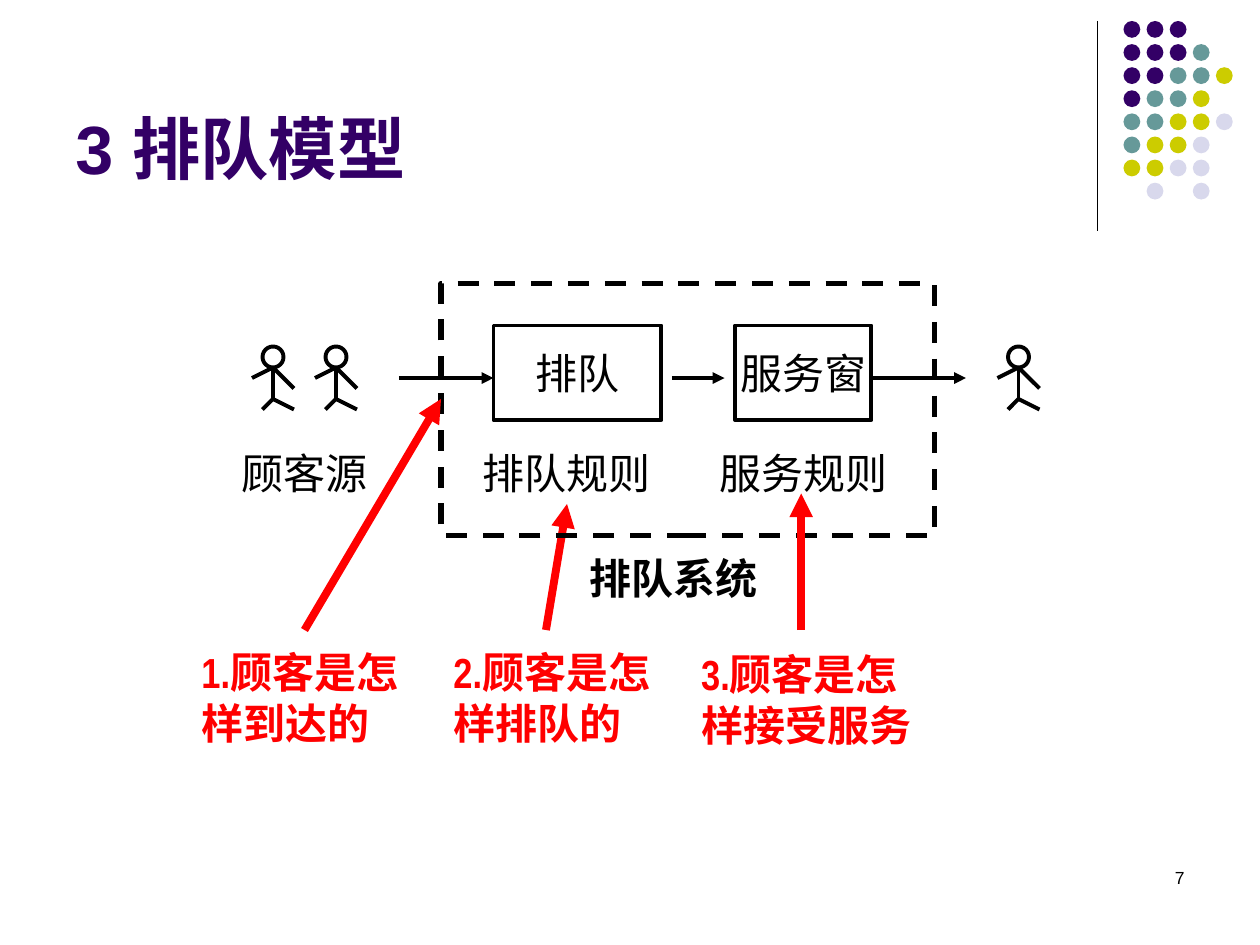
from lxml.etree import SubElement
from pptx import Presentation
from pptx.dml.color import RGBColor
from pptx.enum.dml import MSO_LINE
from pptx.enum.shapes import MSO_CONNECTOR, MSO_SHAPE
from pptx.enum.text import MSO_ANCHOR, PP_ALIGN
from pptx.oxml.ns import qn
from pptx.util import Cm, Pt

THEME = {
    "black": RGBColor.from_string("000000"),
    "red": RGBColor.from_string("FF0000"),
    "purple": RGBColor.from_string("330066"),
    "teal": RGBColor.from_string("669999"),
    "olive": RGBColor.from_string("CCCC00"),
    "lilac": RGBColor.from_string("D8D8EC"),
    "title": {"name": "Arial", "size": Pt(39), "bold": True},
    "label": {"name": "Times New Roman", "size": Pt(24), "bold": False},
    "strong": {"name": "Arial Narrow", "size": Pt(24), "bold": True},
    "number": {"name": "Arial", "size": Pt(10), "bold": False},
}
GRID = 2.54 / 12

presentation = Presentation()
presentation.slide_width = Cm(25.4)
presentation.slide_height = Cm(19.05)
slide = presentation.slides.add_slide(presentation.slide_layouts[6])
shapes = slide.shapes


def add_line(start, end, color="black", width=2.25, arrow=False):
    points = [Cm(value * GRID) for value in (*start, *end)]
    connector = shapes.add_connector(MSO_CONNECTOR.STRAIGHT, *points)
    connector.line.color.rgb = THEME[color]
    connector.line.width = Pt(width)
    if arrow:
        line_xml = connector.line._get_or_add_ln()
        SubElement(line_xml, qn("a:tailEnd"), type="triangle")
    SubElement(connector._element.spPr, qn("a:effectLst"))


def add_box(place, text="", style="label", color="black", align=PP_ALIGN.LEFT,
            anchor=MSO_ANCHOR.TOP, kind=None, fill=None, border=None, wrap=True):
    area = [Cm(value * GRID) for value in place]
    if kind is None:
        shape = shapes.add_textbox(*area)
    else:
        shape = shapes.add_shape(kind, *area)
        shape.shadow.inherit = False
        if fill:
            shape.fill.solid()
            shape.fill.fore_color.rgb = THEME[fill]
        else:
            shape.fill.background()
        if border:
            shape.line.color.rgb = THEME["black"]
            shape.line.width = Pt(border)
        else:
            shape.line.fill.background()
    if text:
        frame = shape.text_frame
        frame.word_wrap = wrap
        frame.vertical_anchor = anchor
        paragraph = frame.paragraphs[0]
        paragraph.alignment = align
        run = paragraph.add_run()
        run.text = text
        for attribute, value in THEME[style].items():
            setattr(run.font, attribute, value)
        run.font.color.rgb = THEME[color]
    return shape


add_line((104.5, 2), (104.5, 22), width=0.75)
dot_colors = {"P": "purple", "T": "teal", "O": "olive", "L": "lilac"}
dot_rows = ["PPP", "PPPT", "PPTTO", "PTTO", "TTOOL", "TOOL", "OOLL", ".L.L"]
for row, codes in enumerate(dot_rows):
    for column, code in enumerate(codes):
        if code in dot_colors:
            add_box((107 + 2.2 * column, 2 + 2.2 * row, 1.6, 1.6),
                    kind=MSO_SHAPE.OVAL, fill=dot_colors[code])

add_box((6, 1.5, 99, 17), "3 排队模型", "title", "purple", anchor=MSO_ANCHOR.BOTTOM)

add_line((52, 60), (54, 48), "red", 4.5, arrow=True)
system_frame = add_box((42, 27, 47, 24), kind=MSO_SHAPE.RECTANGLE, border=3)
system_frame.line.dash_style = MSO_LINE.DASH
for start, end in [((29, 60), (42, 38)), ((76.3, 60), (76.3, 47))]:
    add_line(start, end, "red", 4.5, arrow=True)

for left, width, text in [(47, 16, "排队"), (70, 13, "服务窗")]:
    add_box((left, 31, width, 9), text, align=PP_ALIGN.CENTER, anchor=MSO_ANCHOR.MIDDLE,
            kind=MSO_SHAPE.RECTANGLE, border=2.25, wrap=False)

for left, right in [(38, 47), (64, 69), (83, 92)]:
    add_line((left, 36), (right, 36), arrow=True)

limbs = [((0, 35), (2, 37)), ((0, 35), (0, 38)), ((0, 35), (-2, 36)),
         ((0, 38), (2, 39)), ((0, 38), (-1, 39))]
for center in (26, 32, 97):
    add_box((center - 1, 33, 2, 2), kind=MSO_SHAPE.OVAL, border=2.25)
    for (start_x, start_y), (end_x, end_y) in limbs:
        add_line((center + start_x, start_y), (center + end_x, end_y))

for left, width, text in [(19, 20, "顾客源"), (44, 20, "排队规则"), (65, 23, "服务规则")]:
    add_box((left, 42, width, 6), text, align=PP_ALIGN.CENTER)
add_box((55, 52, 25, 6), "排队系统", "strong")

questions = [
    ((18, 61, 22, 15.6), "1.顾客是怎样到达的"),
    ((42, 61, 22, 15.6), "2.顾客是怎样排队的"),
    ((65.6, 61.2, 23.3, 10.8), "3.顾客是怎样接受服务"),
]
for place, text in questions:
    add_box(place, text, "strong", "red")

add_box((86, 82, 28, 6), "7", "number", align=PP_ALIGN.RIGHT)

presentation.save("out.pptx")
